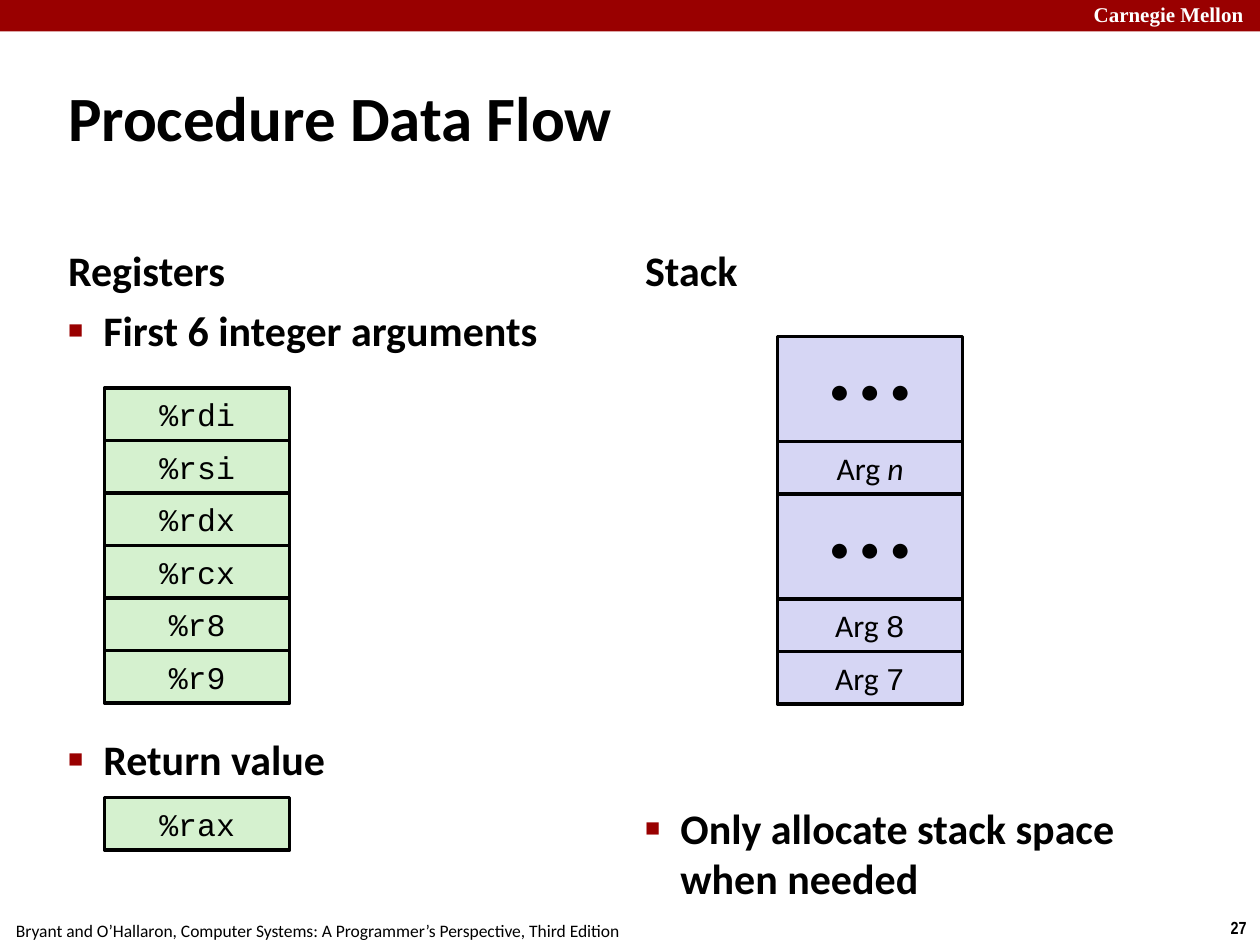
from lxml.etree import SubElement
from pptx import Presentation
from pptx.dml.color import RGBColor
from pptx.enum.shapes import MSO_SHAPE
from pptx.enum.text import MSO_ANCHOR, PP_ALIGN
from pptx.oxml.ns import qn
from pptx.util import Inches, Pt

BLACK = RGBColor(0x00, 0x00, 0x00)
WHITE = RGBColor(0xFF, 0xFF, 0xFF)
CRIMSON = RGBColor(0x99, 0x00, 0x00)
GREEN = RGBColor(0xD5, 0xF1, 0xCF)
LAVENDER = RGBColor(0xD6, 0xD6, 0xF4)

SANS = "Calibri"
MONO = "Courier New"
CELL_WIDTH = 1.47
CELL_HEIGHT = 5 / 12


class SlideBuilder:
    def __init__(self, slide):
        self.slide = slide

    def set_margins(self, frame, horizontal, vertical):
        frame.margin_left = frame.margin_right = Inches(horizontal)
        frame.margin_top = frame.margin_bottom = Inches(vertical)

    def style(self, paragraph, size, font=SANS, bold=False, color=BLACK):
        paragraph.font.size = Pt(size)
        paragraph.font.name = font
        paragraph.font.bold = bold
        paragraph.font.color.rgb = color

    def text(self, content, left, top, width, height, size, font=SANS,
             bold=True, color=BLACK, anchor=MSO_ANCHOR.TOP):
        shape = self.slide.shapes.add_textbox(
            Inches(left), Inches(top), Inches(width), Inches(height))
        frame = shape.text_frame
        frame.word_wrap = True
        frame.vertical_anchor = anchor
        self.set_margins(frame, 0.04, 0.04)
        paragraph = frame.paragraphs[0]
        paragraph.text = content
        self.style(paragraph, size, font, bold, color)
        return shape

    def footer(self, content, left, top, width, font, bold):
        shape = self.text(content, left, top, width, 0.27, 10, font, bold)
        frame = shape.text_frame
        frame.word_wrap = False
        self.set_margins(frame, 0.1, 0.05)
        frame.paragraphs[0].alignment = PP_ALIGN.CENTER

    def bullet(self, content, left, top, height):
        shape = self.text(content, left, top, 4.42, height, 24)
        properties = shape.text_frame.paragraphs[0]._p.get_or_add_pPr()
        properties.set("marL", str(Inches(0.28)))
        properties.set("indent", str(Inches(-0.28)))
        marks = [SubElement(properties, qn(tag))
                 for tag in ("a:buClr", "a:buSzPct", "a:buFont", "a:buChar")]
        SubElement(marks[0], qn("a:srgbClr")).set("val", str(CRIMSON))
        marks[1].set("val", "60000")
        marks[2].set("typeface", "Arial")
        marks[3].set("char", "■")
        default_run = properties.find(qn("a:defRPr"))
        if default_run is not None:
            properties.append(default_run)

    def rectangle(self, left, top, width, height, fill):
        shape = self.slide.shapes.add_shape(
            MSO_SHAPE.RECTANGLE,
            Inches(left), Inches(top), Inches(width), Inches(height))
        shape.shadow.inherit = False
        shape.fill.solid()
        shape.fill.fore_color.rgb = fill
        shape.line.fill.background()
        return shape

    def cell(self, parts, left, top, fill, rows=1, size=18):
        shape = self.rectangle(left, top, CELL_WIDTH, rows * CELL_HEIGHT, fill)
        shape.line.color.rgb = BLACK
        shape.line.width = Pt(2)
        frame = shape.text_frame
        frame.vertical_anchor = MSO_ANCHOR.MIDDLE
        self.set_margins(frame, 0.04, 0.04)
        paragraph = frame.paragraphs[0]
        paragraph.alignment = PP_ALIGN.CENTER
        self.style(paragraph, size, parts[0][1])
        for content, font, italic in parts:
            run = paragraph.add_run()
            run.text = content
            run.font.name = font
            run.font.italic = italic

    def register(self, name, top):
        self.cell([(name, MONO, False)], 0.83, top, GREEN)

    def stack(self, left, top, entries):
        for parts, rows, size in entries:
            self.cell(parts, left, top, LAVENDER, rows, size)
            top += rows * CELL_HEIGHT


def argument(label, font=MONO, italic=False):
    return [("Arg ", SANS, False), (label, font, italic)], 1, 18


def main():
    presentation = Presentation()
    presentation.slide_width = Inches(10)
    presentation.slide_height = Inches(7.5)
    slide = presentation.slides.add_slide(presentation.slide_layouts[6])
    builder = SlideBuilder(slide)

    builder.footer("27", 9.66, 7.23, 0.34, "Arial Narrow", True)
    builder.footer("Bryant and O’Hallaron, Computer Systems: "
                   "A Programmer’s Perspective, Third Edition",
                   -0.02, 7.25, 5.08, SANS, False)
    builder.rectangle(0, 0, 10, 0.25, CRIMSON)
    builder.text("Carnegie Mellon", 8.64, -0.03, 1.44, 0.28, 12,
                 "Times New Roman", color=WHITE)
    builder.text("Procedure Data Flow", 0.5, 0.3, 9, 1.25, 36,
                 anchor=MSO_ANCHOR.MIDDLE)

    for heading, left in (("Registers", 0.5), ("Stack", 5.08)):
        builder.text(heading, left, 1.68, 4.42, 0.7, 24,
                     anchor=MSO_ANCHOR.BOTTOM)
    builder.bullet("First 6 integer arguments", 0.5, 2.38, 0.5)
    builder.bullet("Return value", 0.5, 5.78, 0.5)
    builder.bullet("Only allocate stack space when needed", 5.08, 6.33, 0.88)

    registers = ("%rdi", "%rsi", "%rdx", "%rcx", "%r8", "%r9")
    for index, name in enumerate(registers):
        builder.register(name, 3.08 + index * CELL_HEIGHT)
    builder.register("%rax", 6.33)

    dots = [("• • •", SANS, False)], 2, 24
    builder.stack(6.17, 2.67, [dots, argument("n", SANS, True), dots,
                               argument("8"), argument("7")])

    presentation.save("out.pptx")


if __name__ == "__main__":
    main()
